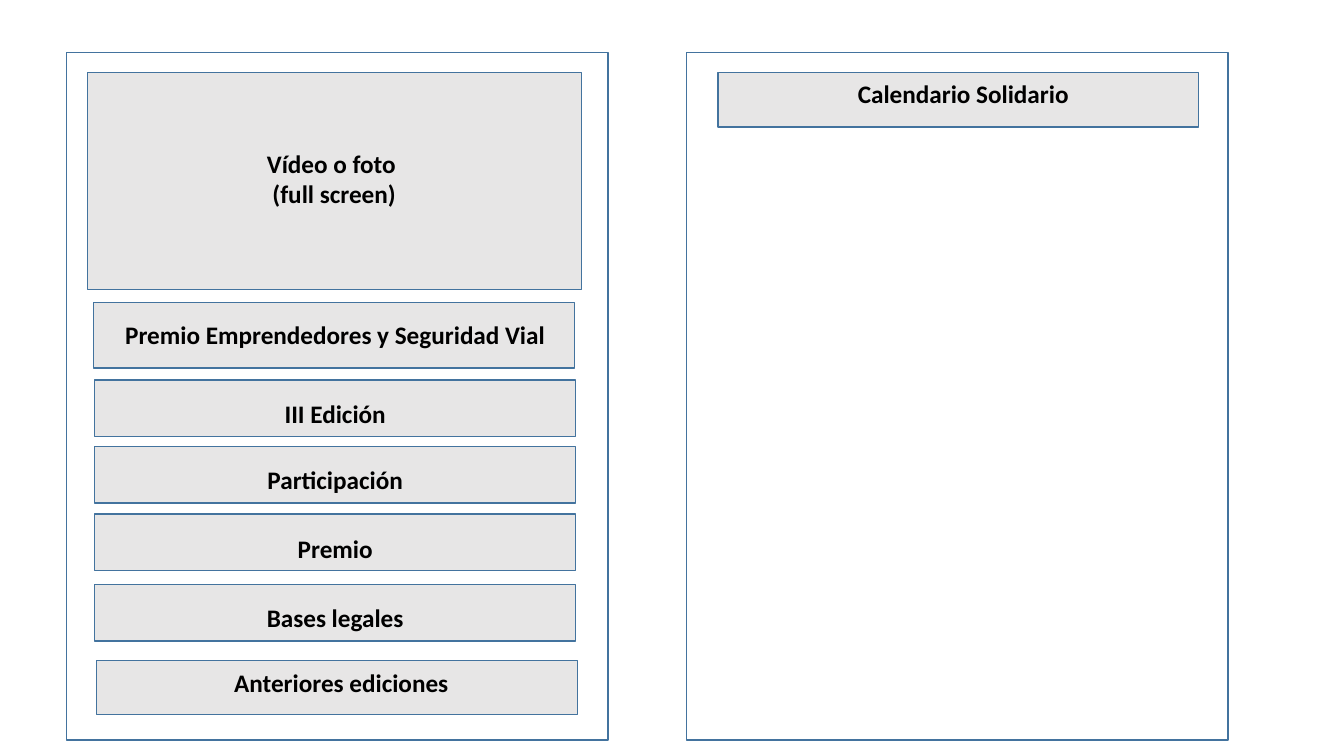
import pptx
import pptx.util
import pptx.dml.color
import pptx.enum.shapes
import pptx.enum.text

Inches = pptx.util.Inches
BLUE = pptx.dml.color.RGBColor(0x43, 0x73, 0x9E)
GREY = pptx.dml.color.RGBColor(0xE7, 0xE6, 0xE6)
BLACK = pptx.dml.color.RGBColor(0, 0, 0)

PANEL_TOP, PANEL_WIDTH, PANEL_HEIGHT = 0.52, 5.37, 6.82
BAR_WIDTH = 4.77

deck = pptx.Presentation()
deck.slide_width = Inches(13.33)
deck.slide_height = Inches(7.5)
page = deck.slides.add_slide(deck.slide_layouts[6])


def add_frame(left, top, width, height, color=None):
    """Draw a blue-edged rectangle, filled only when a color is given."""
    frame = page.shapes.add_shape(
        pptx.enum.shapes.MSO_SHAPE.RECTANGLE,
        Inches(left), Inches(top), Inches(width), Inches(height))
    frame.shadow.inherit = False
    frame.line.color.rgb = BLUE
    frame.line.width = pptx.util.Pt(1)
    if color is None:
        frame.fill.background()
    else:
        frame.fill.solid()
        frame.fill.fore_color.rgb = color


def add_label(left, top, lines):
    """Write centred bold lines in a text box as wide as a bar."""
    box = page.shapes.add_textbox(
        Inches(left), Inches(top), Inches(BAR_WIDTH), Inches(0.1 + 0.3 * len(lines)))
    box.text_frame.word_wrap = True
    box.text_frame.auto_size = pptx.enum.text.MSO_AUTO_SIZE.SHAPE_TO_FIT_TEXT
    box.text_frame.text = "\n".join(lines)
    for para in box.text_frame.paragraphs:
        para.alignment = pptx.enum.text.PP_ALIGN.CENTER
        para.font.name = "Calibri"
        para.font.size = pptx.util.Pt(18)
        para.font.bold = True
        para.font.color.rgb = BLACK


for panel_left in (0.66, 6.81):
    add_frame(panel_left, PANEL_TOP, PANEL_WIDTH, PANEL_HEIGHT)

# Media area at the top of the left panel
add_frame(0.87, 0.72, 4.9, 2.15, GREY)
add_label(0.93, 1.42, ["Vídeo o foto ", "(full screen)"])

# Bars: left, top, height, label left, label top, wording
bars = [
    (0.93, 3.0, 0.65, 0.94, 3.12, "Premio Emprendedores y Seguridad Vial"),
    (0.94, 3.77, 0.56, 0.94, 3.9, "III Edición"),
    (0.94, 4.43, 0.56, 0.94, 4.56, "Participación"),
    (0.94, 5.1, 0.56, 0.94, 5.24, "Premio"),
    (0.94, 5.8, 0.56, 0.94, 5.93, "Bases legales"),
    (0.96, 6.55, 0.54, 1.0, 6.57, "Anteriores ediciones"),
    (7.12, 0.72, 0.54, 7.17, 0.73, "Calendario Solidario"),
]
for bar_left, bar_top, bar_height, label_left, label_top, wording in bars:
    add_frame(bar_left, bar_top, BAR_WIDTH, bar_height, GREY)
    add_label(label_left, label_top, [wording])

deck.save("out.pptx")
